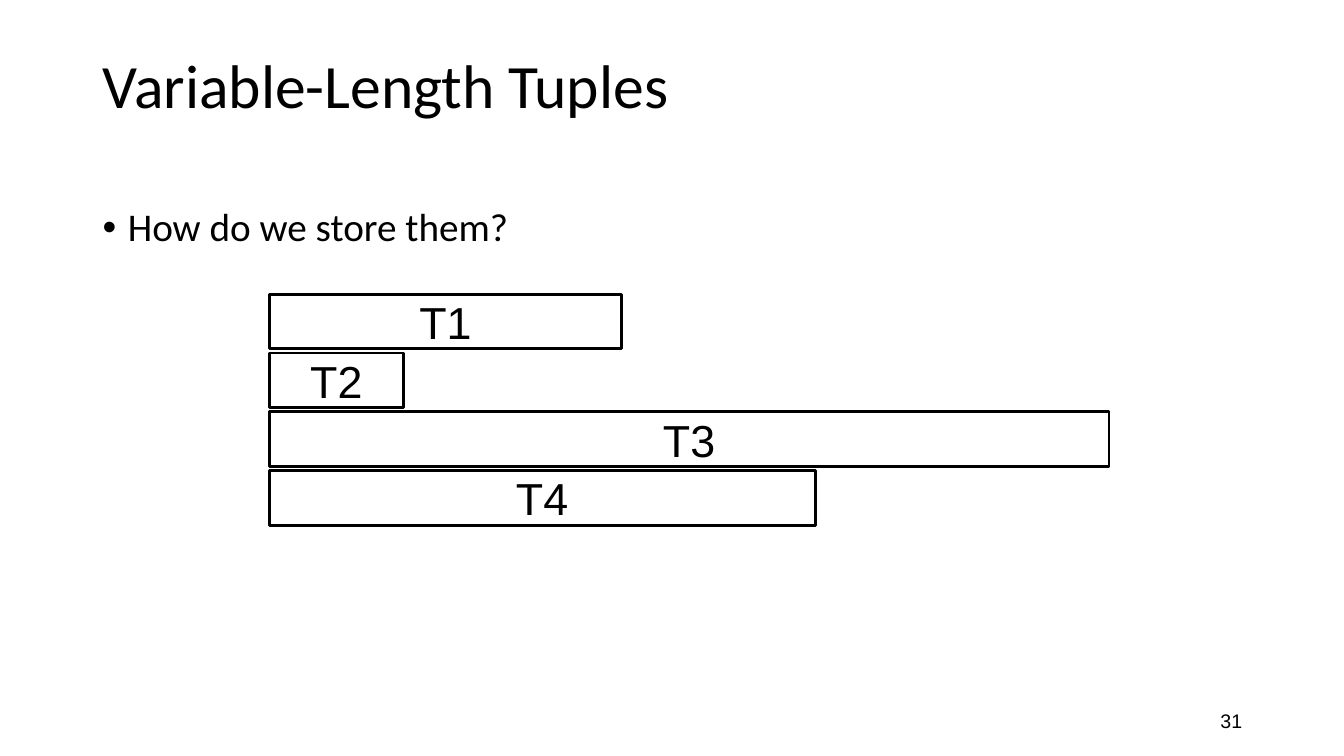
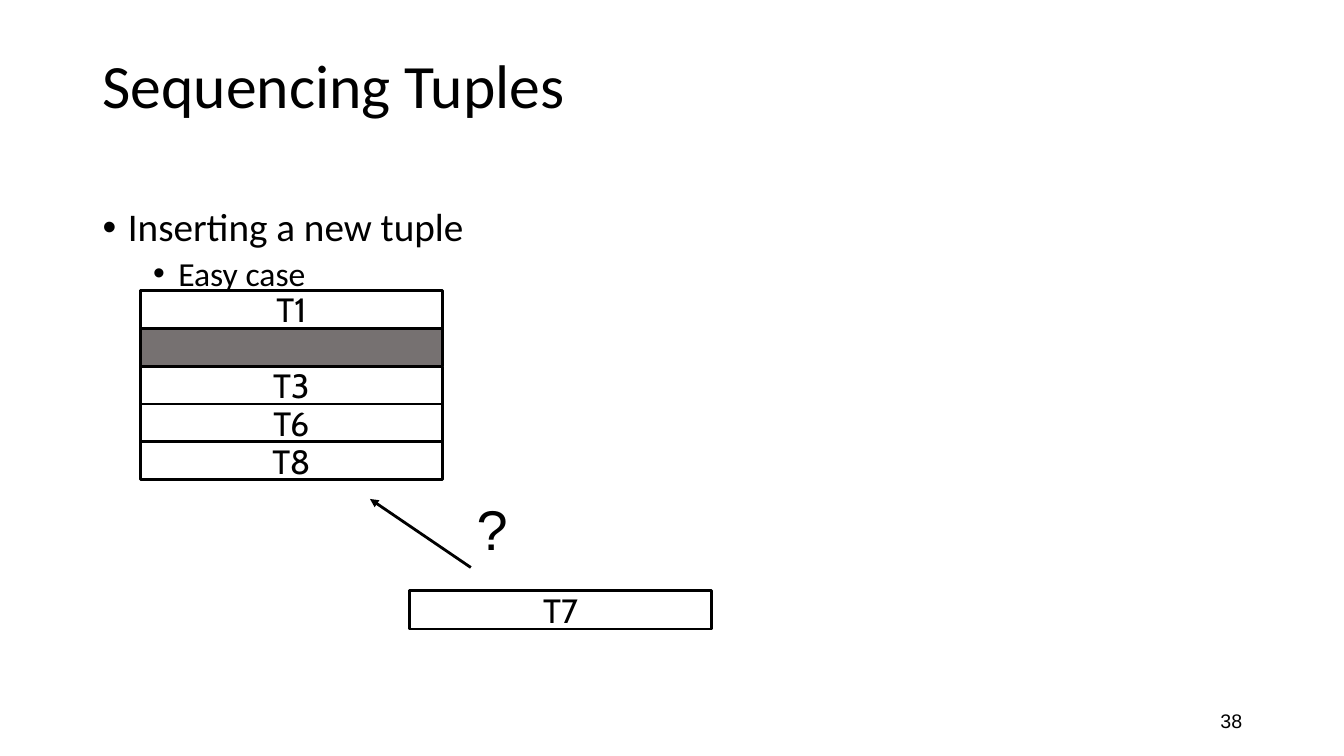
from dataclasses import dataclass

from lxml.etree import SubElement
from pptx import Presentation
from pptx.dml.color import RGBColor
from pptx.enum.shapes import MSO_CONNECTOR, MSO_SHAPE
from pptx.enum.text import MSO_ANCHOR, PP_ALIGN
from pptx.oxml.ns import qn
from pptx.util import Inches, Pt


@dataclass(frozen=True)
class Theme:
    ink: RGBColor = RGBColor(0, 0, 0)
    paper: RGBColor = RGBColor(255, 255, 255)
    free_slot: RGBColor = RGBColor(0x76, 0x71, 0x71)
    text_font: str = "Calibri"
    label_font: str = "Arial"
    row_font: str = "Cabin"
    title_size: int = 44
    bullet_sizes: tuple = (28, 24)
    bar_size: int = 32
    row_size: int = 24
    question_size: int = 40
    number_size: int = 14
    outline: int = 2


THEME = Theme()
TITLE_BOX = (0.92, 0.33, 11.5, 1.09)
BODY_BOX = (0.92, 1.54, 11.5, 5.22)
NUMBER_BOX = (9.42, 6.95, 3, 0.4)
BODY_TOP_INSET = 0.52


def inches(box):
    return [Inches(length) for length in box]


def style(paragraph, font_name, size, align=PP_ALIGN.LEFT):
    paragraph.alignment = align
    paragraph.font.name = font_name
    paragraph.font.size = Pt(size)
    paragraph.font.color.rgb = THEME.ink


def add_text(slide, box, text, font_name, size, align=PP_ALIGN.LEFT,
             anchor=MSO_ANCHOR.MIDDLE, wrap=True):
    frame = slide.shapes.add_textbox(*inches(box)).text_frame
    frame.word_wrap = wrap
    frame.vertical_anchor = anchor
    line = frame.paragraphs[0]
    line.text = text
    style(line, font_name, size, align)
    return line


def add_bullets(slide, box, bullets):
    """Write (level, text) pairs as a bulleted list."""
    frame = slide.shapes.add_textbox(*inches(box)).text_frame
    frame.word_wrap = True
    frame.margin_top = Inches(BODY_TOP_INSET)
    for index, (level, text) in enumerate(bullets):
        bullet = frame.add_paragraph() if index else frame.paragraphs[0]
        bullet.text = text
        bullet.level = level
        bullet.line_spacing = 0.9
        if index:
            bullet.space_before = Pt(5 if level else 10)
        properties = bullet._p.get_or_add_pPr()
        properties.set("marL", str(Inches(0.25 + 0.5 * level)))
        properties.set("indent", str(Inches(-0.25)))
        SubElement(properties, qn("a:buFont"), typeface="Arial")
        SubElement(properties, qn("a:buChar"), char="•")
        style(bullet, THEME.text_font, THEME.bullet_sizes[level])


def add_tuple(slide, box, label, font_name, size, fill=None):
    """Draw one outlined tuple; without a fill it stays transparent."""
    record = slide.shapes.add_shape(MSO_SHAPE.RECTANGLE, *inches(box))
    record.shadow.inherit = False
    if fill is None:
        record.fill.background()
    else:
        record.fill.solid()
        record.fill.fore_color.rgb = fill
    record.line.color.rgb = THEME.ink
    record.line.width = Pt(THEME.outline)
    if label:
        frame = record.text_frame
        frame.margin_left = frame.margin_right = 0
        frame.margin_top = frame.margin_bottom = 0
        frame.word_wrap = False
        frame.vertical_anchor = MSO_ANCHOR.MIDDLE
        frame.paragraphs[0].text = label
        style(frame.paragraphs[0], font_name, size, PP_ALIGN.CENTER)


def add_bars(slide, box, lengths, bar_height=0.54):
    """Stack T1, T2, ... with equal gaps; lengths are shares of the box width."""
    left, top, width, height = box
    step = (height - bar_height) / (len(lengths) - 1)
    for index, length in enumerate(lengths):
        add_tuple(slide, (left, top + index * step, width * length, bar_height),
                  f"T{index + 1}", THEME.label_font, THEME.bar_size)


def add_page(slide, box, labels):
    """Stack adjoining rows; an empty label marks a free slot."""
    left, top, width, height = box
    row_height = height / len(labels)
    for index, label in enumerate(labels):
        add_tuple(slide, (left, top + index * row_height, width, row_height),
                  label, THEME.row_font, THEME.row_size,
                  THEME.paper if label else THEME.free_slot)


def add_arrow(slide, start, end):
    arrow = slide.shapes.add_connector(MSO_CONNECTOR.STRAIGHT, *inches(start + end))
    arrow.line.color.rgb = THEME.ink
    arrow.line.width = Pt(THEME.outline)
    properties = arrow._element.spPr
    SubElement(properties.find(qn("a:ln")), qn("a:tailEnd"), type="triangle")
    SubElement(properties, qn("a:effectLst"))


def add_insertion(slide, box, label):
    """Draw a new tuple at the bottom of the box, with an arrow up to the page."""
    left, top, width, height = box
    row_height = 0.38
    add_tuple(slide, (left + 0.39, top + height - row_height, width - 0.39, row_height),
              label, THEME.row_font, THEME.row_size, THEME.paper)
    add_arrow(slide, (left + 1, top + 0.77), (left, top + 0.09))
    add_text(slide, (left + 0.96, top, 0.51, 0.77), "?", THEME.label_font,
             THEME.question_size, anchor=MSO_ANCHOR.TOP, wrap=False)


def add_content_slide(deck, title, bullets, number):
    slide = deck.slides.add_slide(deck.slide_layouts[6])
    add_text(slide, NUMBER_BOX, str(number), THEME.label_font,
             THEME.number_size, PP_ALIGN.RIGHT)
    heading = add_text(slide, TITLE_BOX, title, THEME.text_font, THEME.title_size)
    heading.line_spacing = 0.9
    add_bullets(slide, BODY_BOX, bullets)
    return slide


def add_variable_length_slide(deck):
    slide = add_content_slide(deck, "Variable-Length Tuples",
                              [(0, "How do we store them?")], 31)
    add_bars(slide, (2.67, 2.92, 8.33, 2.29), (0.42, 0.16, 1, 0.65))


def add_sequencing_slide(deck):
    slide = add_content_slide(deck, "Sequencing Tuples",
                              [(0, "Inserting a new tuple"), (1, "Easy case")], 38)
    add_page(slide, (1.39, 2.88, 3, 1.88), ("T1", "", "T3", "T6", "T8"))
    add_insertion(slide, (3.67, 4.86, 3.39, 1.38), "T7")


def main():
    deck = Presentation()
    deck.slide_width, deck.slide_height = inches((13.33, 7.5))
    add_variable_length_slide(deck)
    add_sequencing_slide(deck)
    deck.save("out.pptx")


if __name__ == "__main__":
    main()
